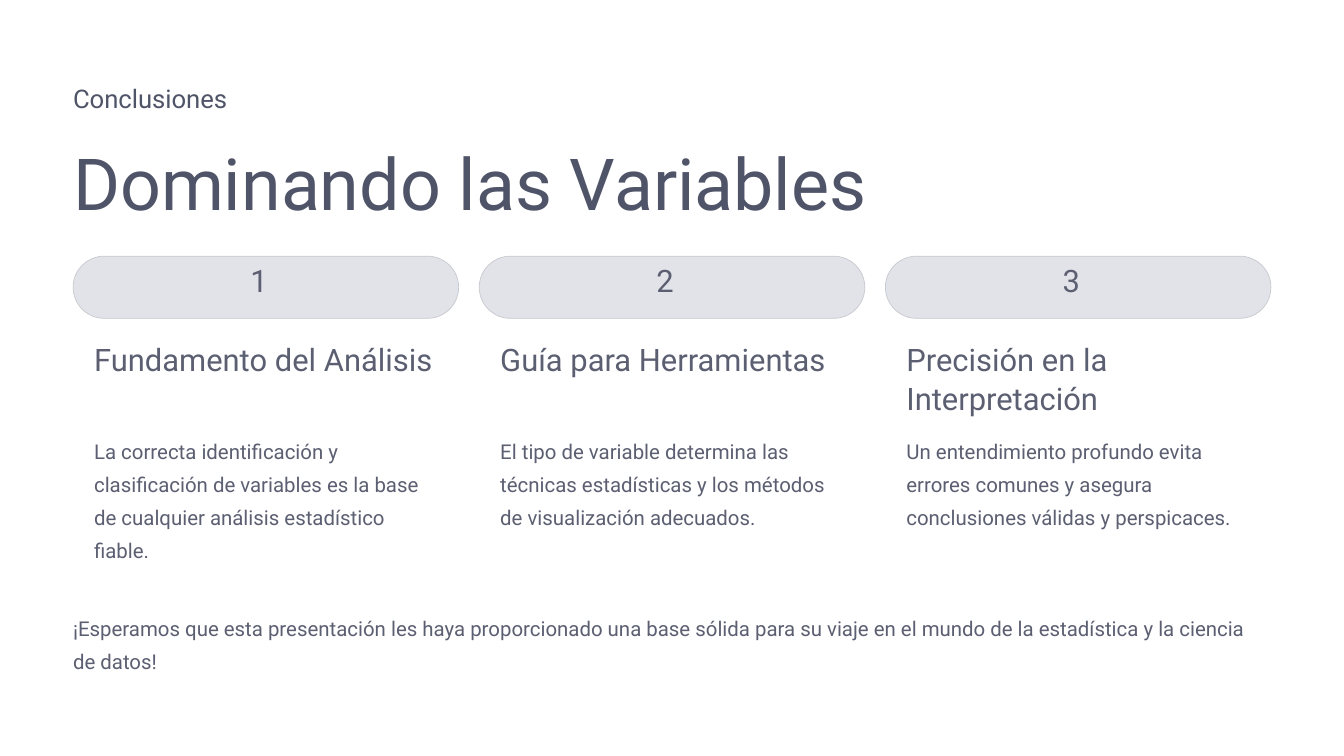
from dataclasses import dataclass

from pptx import Presentation
from pptx.dml.color import RGBColor
from pptx.enum.shapes import MSO_SHAPE
from pptx.slide import Slide
from pptx.util import Inches, Pt

FONT = "Roboto"
HEADING_COLOR = "505468"
BODY_COLOR = "5B5F71"
PILL_FILL = "E2E3E9"
PILL_LINE = "C8C9CF"

MARGIN = 0.87
CONTENT_WIDTH = 14.26
PILL_WIDTH = 4.59
TEXT_INSET = 0.25
TEXT_WIDTH = 4.09


@dataclass(frozen=True)
class TextStyle:
    size: float
    leading: float
    color: str


@dataclass(frozen=True)
class Conclusion:
    title: str
    detail: str
    detail_height: float


KICKER = TextStyle(22, 27.5, HEADING_COLOR)
TITLE = TextStyle(61.5, 77, HEADING_COLOR)
NUMBER = TextStyle(26.5, 26.5, BODY_COLOR)
SUBTITLE = TextStyle(26.5, 33, BODY_COLOR)
BODY = TextStyle(17.5, 28.5, BODY_COLOR)

CONCLUSIONS = [
    Conclusion(
        "Fundamento del Análisis",
        "La correcta identificación y clasificación de variables es la base "
        "de cualquier análisis estadístico fiable.",
        1.59,
    ),
    Conclusion(
        "Guía para Herramientas",
        "El tipo de variable determina las técnicas estadísticas y los métodos "
        "de visualización adecuados.",
        1.19,
    ),
    Conclusion(
        "Precisión en la Interpretación",
        "Un entendimiento profundo evita errores comunes y asegura "
        "conclusiones válidas y perspicaces.",
        1.19,
    ),
]


def rgb(color: str) -> RGBColor:
    return RGBColor.from_string(color)


def add_text(slide: Slide, text: str, style: TextStyle,
             left: float, top: float, width: float, height: float) -> None:
    box = slide.shapes.add_textbox(Inches(left), Inches(top), Inches(width), Inches(height))
    frame = box.text_frame
    frame.word_wrap = True
    frame.margin_left = frame.margin_top = frame.margin_right = frame.margin_bottom = 0
    paragraph = frame.paragraphs[0]
    paragraph.text = text
    paragraph.line_spacing = Pt(style.leading)
    paragraph.font.name = FONT
    paragraph.font.size = Pt(style.size)
    paragraph.font.color.rgb = rgb(style.color)


def add_pill(slide: Slide, left: float) -> None:
    pill = slide.shapes.add_shape(
        MSO_SHAPE.ROUNDED_RECTANGLE, Inches(left), Inches(3.05), Inches(PILL_WIDTH), Inches(0.74)
    )
    pill.adjustments[0] = 0.5
    pill.shadow.inherit = False
    pill.fill.solid()
    pill.fill.fore_color.rgb = rgb(PILL_FILL)
    pill.line.color.rgb = rgb(PILL_LINE)
    pill.line.width = Pt(0.6)


def add_conclusion(slide: Slide, number: int, conclusion: Conclusion, left: float) -> None:
    text_left = left + TEXT_INSET
    add_pill(slide, left)
    add_text(slide, str(number), NUMBER, left + 2.11, 3.19, 0.37, 0.47)
    add_text(slide, conclusion.title, SUBTITLE, text_left, 4.04, TEXT_WIDTH, 0.93)
    add_text(slide, conclusion.detail, BODY, text_left, 5.12, TEXT_WIDTH, conclusion.detail_height)


def main() -> None:
    presentation = Presentation()
    presentation.slide_width = Inches(16)
    presentation.slide_height = Inches(9)
    slide = presentation.slides.add_slide(presentation.slide_layouts[6])

    add_text(slide, "Conclusiones", KICKER, MARGIN, 0.97, 3.1, 0.39)
    add_text(slide, "Dominando las Variables", TITLE, MARGIN, 1.61, 9.9, 1.07)

    pitch = (CONTENT_WIDTH - PILL_WIDTH) / (len(CONCLUSIONS) - 1)
    for index, conclusion in enumerate(CONCLUSIONS):
        add_conclusion(slide, index + 1, conclusion, MARGIN + index * pitch)

    add_text(
        slide,
        "¡Esperamos que esta presentación les haya proporcionado una base sólida "
        "para su viaje en el mundo de la estadística y la ciencia de datos!",
        BODY, MARGIN, 7.23, CONTENT_WIDTH, 0.79,
    )
    presentation.save("out.pptx")


if __name__ == "__main__":
    main()
